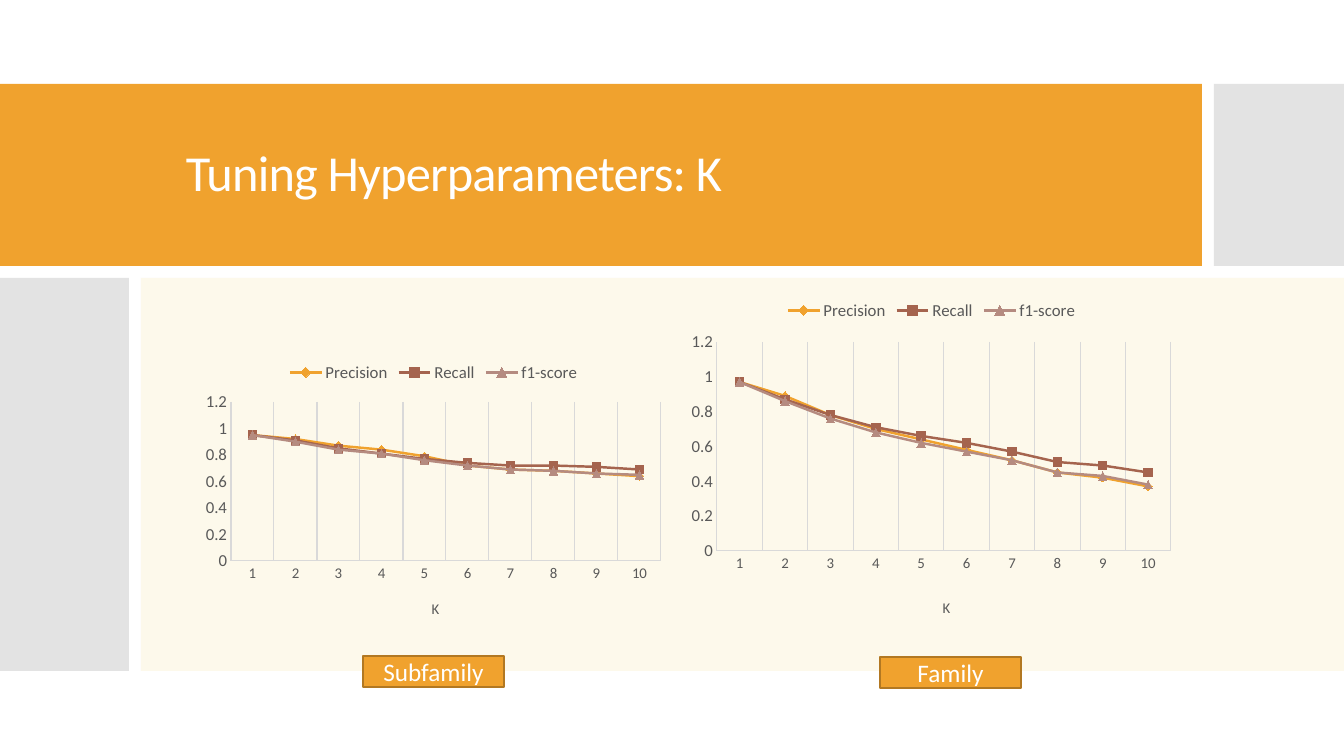
import pptx
import pptx.chart.data
import pptx.dml.color
import pptx.enum.chart
import pptx.enum.shapes
import pptx.enum.text
import pptx.oxml
import pptx.oxml.ns
import pptx.util
from lxml import etree

W, H = 1344, 756
EMU = 914400 / 100.8
FONT = "Calibri"
COLORS = {
    "white": "FFFFFF", "orange": "F0A22E", "border": "B27822", "gray": "C8C8C8",
    "cream": "FDF5DF", "text": "595959", "grid": "D9D9D9",
    "brown": "A5644E", "rose": "B58B80",
}
TITLE = "Tuning Hyperparameters: K"
TITLE_BOX = (176, 120, 990, 110)
# box, color, opacity in percent
PANELS = [
    ((0, 84, 1202, 182), "orange", 100),
    ((1214, 84, 130, 182), "gray", 50),
    ((0, 278, 129, 393), "gray", 50),
    ((141, 278, 1203, 393), "cream", 60),
]
SERIES = [("Precision", "orange", "DIAMOND"), ("Recall", "brown", "SQUARE"),
          ("f1-score", "rose", "TRIANGLE")]
CATEGORIES = [str(k) for k in range(1, 11)]
# plot is the area inside the axes, axis_title the top left corner of its text
CHARTS = [
    {"label": "Family", "label_box": (880, 657, 141, 31),
     "box": (682, 289, 499, 338), "plot": (717, 342, 454, 209), "axis_title": (940, 595),
     "values": [(0.97, 0.89, 0.78, 0.7, 0.64, 0.58, 0.52, 0.45, 0.42, 0.37),
                (0.97, 0.87, 0.78, 0.71, 0.66, 0.62, 0.57, 0.51, 0.49, 0.45),
                (0.97, 0.86, 0.76, 0.68, 0.62, 0.57, 0.52, 0.45, 0.43, 0.38)]},
    {"label": "Subfamily", "label_box": (363, 656, 141, 31),
     "box": (196, 351, 475, 285), "plot": (231, 402, 430, 159), "axis_title": (429, 596),
     "values": [(0.95, 0.92, 0.87, 0.84, 0.79, 0.72, 0.69, 0.68, 0.66, 0.64),
                (0.95, 0.91, 0.85, 0.81, 0.77, 0.74, 0.72, 0.72, 0.71, 0.69),
                (0.95, 0.9, 0.84, 0.81, 0.76, 0.72, 0.69, 0.68, 0.66, 0.65)]},
]


def px(box):
    return [round(v * EMU) for v in box]


def rgb(name):
    return pptx.dml.color.RGBColor.from_string(COLORS[name])


def style_font(font, size, color):
    font.name, font.size, font.bold = FONT, pptx.util.Pt(size), False
    font.color.rgb = rgb(color)


def style_line(line, color, width):
    line.color.rgb = rgb(color)
    line.width = pptx.util.Pt(width)


def add_rect(s, box, color, opacity=100):
    sp = s.shapes.add_shape(pptx.enum.shapes.MSO_SHAPE.RECTANGLE, *px(box))
    sp.shadow.inherit = False
    sp.fill.solid()
    sp.fill.fore_color.rgb = rgb(color)
    sp.line.fill.background()
    if opacity < 100:
        clr = sp.element.find(".//" + pptx.oxml.ns.qn("a:srgbClr"))
        etree.SubElement(clr, pptx.oxml.ns.qn("a:alpha"), val=str(opacity * 1000))
    return sp


def add_title(s):
    sp = s.shapes.add_textbox(*px(TITLE_BOX))
    tf = sp.text_frame
    tf.word_wrap = True
    tf.vertical_anchor = pptx.enum.text.MSO_ANCHOR.MIDDLE
    p = tf.paragraphs[0]
    p.text = TITLE
    p.line_spacing = 0.9
    style_font(p.runs[0].font, 36, "white")
    sp.element.find(".//" + pptx.oxml.ns.qn("a:rPr")).set("spc", "-60")


def add_label(s, text, box):
    sp = add_rect(s, box, "orange")
    style_line(sp.line, "border", 0.85)
    tf = sp.text_frame
    tf.vertical_anchor = pptx.enum.text.MSO_ANCHOR.MIDDLE
    p = tf.paragraphs[0]
    p.text = text
    p.alignment = pptx.enum.text.PP_ALIGN.CENTER
    style_font(p.runs[0].font, 18, "white")


def set_layout(parent, chart_box, place, index):
    """Place a chart element by hand; place is x, y and optionally width, height."""
    left, top, width, height = chart_box
    x, y, *size = place
    shares = [("x", (x - left) / width), ("y", (y - top) / height)]
    shares += [(n, v / t) for n, v, t in zip("wh", size, (width, height))]
    tags = '<c:layoutTarget val="inner"/>' if size else ""
    tags += '<c:xMode val="edge"/><c:yMode val="edge"/>'
    tags += "".join(f'<c:{n} val="{v:.4f}"/>' for n, v in shares)
    for old in parent.findall(pptx.oxml.ns.qn("c:layout")):
        parent.remove(old)
    parent.insert(index, pptx.oxml.parse_xml(
        f'<c:layout {pptx.oxml.ns.nsdecls("c")}><c:manualLayout>{tags}'
        "</c:manualLayout></c:layout>"))


def add_line_chart(s, item):
    xl = pptx.enum.chart
    data = pptx.chart.data.CategoryChartData()
    data.categories = CATEGORIES
    for (name, _, _), values in zip(SERIES, item["values"]):
        data.add_series(name, values)
    chart = s.shapes.add_chart(xl.XL_CHART_TYPE.LINE_MARKERS, *px(item["box"]), data).chart
    style_font(chart.font, 10, "text")
    chart.has_title = False
    chart.has_legend = True
    chart.legend.position = xl.XL_LEGEND_POSITION.TOP
    chart.legend.include_in_layout = False
    style_font(chart.legend.font, 12, "text")
    chart.plots[0].vary_by_categories = False

    for axis, size in ((chart.category_axis, 10.6), (chart.value_axis, 12)):
        axis.major_tick_mark = axis.minor_tick_mark = xl.XL_TICK_MARK.NONE
        style_font(axis.tick_labels.font, size, "text")
        style_line(axis.format.line, "grid", 0.75)
    cat, val = chart.category_axis, chart.value_axis
    cat.has_major_gridlines, val.has_major_gridlines = True, False
    style_line(cat.major_gridlines.format.line, "grid", 0.75)
    val.minimum_scale, val.maximum_scale, val.major_unit = 0, 1.2, 0.2
    val.tick_labels.number_format = "General"
    val.tick_labels.number_format_is_linked = False
    p = cat.axis_title.text_frame.paragraphs[0]
    p.text = "K"
    style_font(p.runs[0].font, 10.6, "text")

    for series, (_, color, marker) in zip(chart.plots[0].series, SERIES):
        series.smooth = False
        style_line(series.format.line, color, 1.75)
        series.marker.style = xl.XL_MARKER_STYLE[marker]
        series.marker.size = 6
        series.marker.format.fill.solid()
        series.marker.format.fill.fore_color.rgb = rgb(color)
        style_line(series.marker.format.line, color, 0.75)

    plot_area = chart.element.find(".//" + pptx.oxml.ns.qn("c:plotArea"))
    set_layout(plot_area, item["box"], item["plot"], 0)
    title = plot_area.find(".//" + pptx.oxml.ns.qn("c:title"))
    set_layout(title, item["box"], item["axis_title"], 1)


def main():
    prs = pptx.Presentation()
    prs.slide_width, prs.slide_height = px((W, H))
    s = prs.slides.add_slide(prs.slide_layouts[6])
    for panel in PANELS:
        add_rect(s, *panel)
    add_title(s)
    for item in CHARTS:
        add_line_chart(s, item)
        add_label(s, item["label"], item["label_box"])
    prs.save("out.pptx")


if __name__ == "__main__":
    main()
